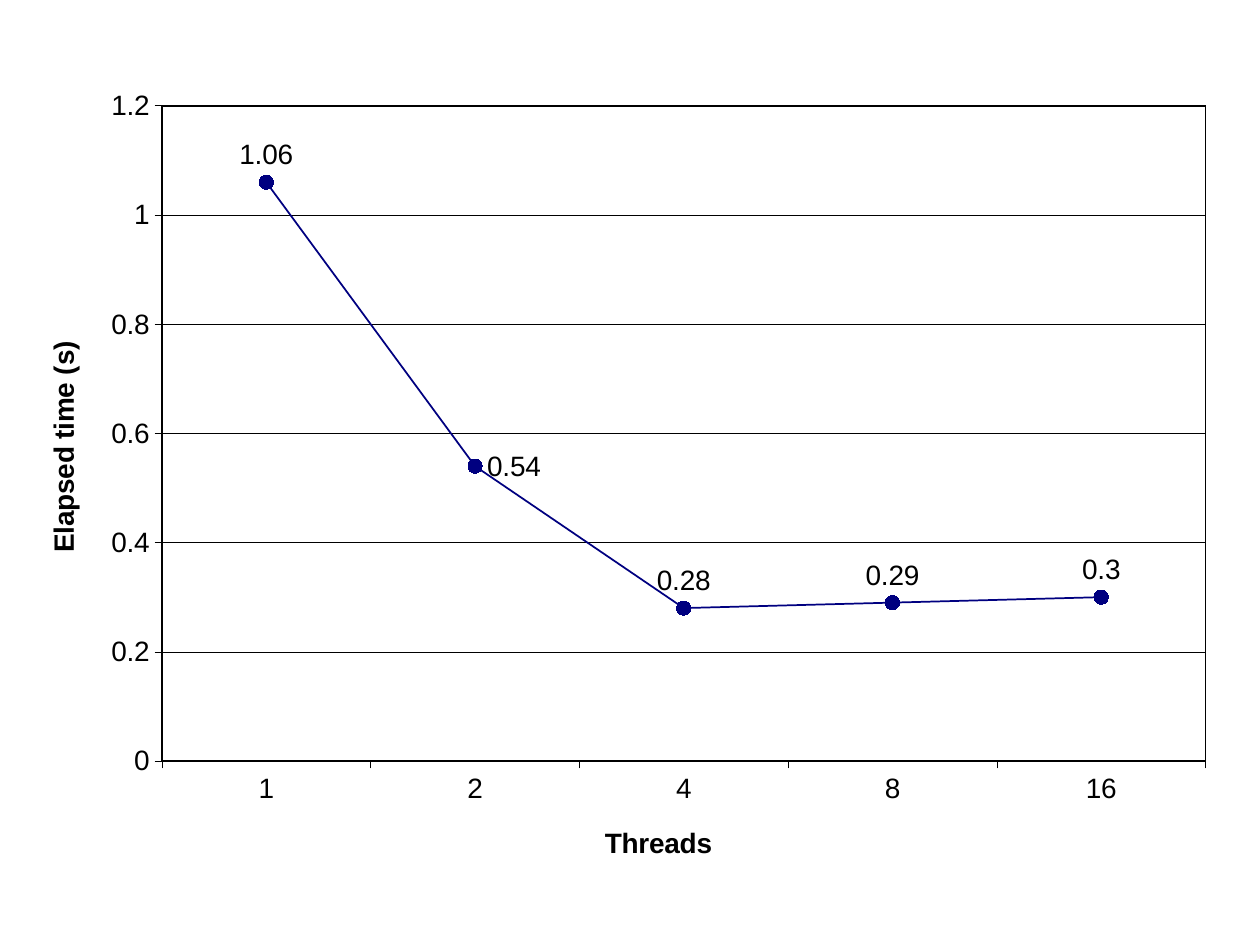
"""Builds a slide with a line chart of elapsed time by thread count."""
import lxml.etree
import pptx
import pptx.chart.data
import pptx.dml.color
import pptx.enum.chart
import pptx.oxml
import pptx.oxml.ns
import pptx.util

Cm, Pt = pptx.util.Cm, pptx.util.Pt
BLACK, NAVY = "000000", "000080"
TIMES = {"1": 1.06, "2": 0.54, "4": 0.28, "8": 0.29, "16": 0.3}


def color(value):
    return pptx.dml.color.RGBColor.from_string(value)


def style_font(font, bold=False):
    font.name, font.size, font.bold = "Arial", Pt(16), bold
    font.color.rgb = color(BLACK)


def style_line(line, value, width):
    line.color.rgb = color(value)
    line.width = Pt(width)


def style_axis(axis, title):
    axis.has_title = True
    tf = axis.axis_title.text_frame
    tf.text = title
    style_font(tf.paragraphs[0].font, bold=True)
    style_font(axis.tick_labels.font)
    style_line(axis.format.line, BLACK, 0.25)
    axis.major_tick_mark = pptx.enum.chart.XL_TICK_MARK.OUTSIDE
    axis.minor_tick_mark = pptx.enum.chart.XL_TICK_MARK.NONE


def style_series(series):
    series.smooth = False
    style_line(series.format.line, NAVY, 1)
    marker = series.marker
    marker.style = pptx.enum.chart.XL_MARKER_STYLE.CIRCLE
    marker.size = 8
    marker.format.fill.solid()
    marker.format.fill.fore_color.rgb = color(NAVY)
    style_line(marker.format.line, NAVY, 0.75)


def style_labels(series):
    position = pptx.enum.chart.XL_LABEL_POSITION
    labels = series.data_labels
    labels.show_value = True
    labels.position = position.ABOVE
    style_font(labels.font)
    label = series.points[1].data_label
    style_font(label.font)
    label.position = position.RIGHT


def frame_plot(chart, x, y, w, h):
    """Place the inner plot area by fractions of the chart and outline it."""
    ns = pptx.oxml.ns
    area = chart._chartSpace.chart.plotArea
    for old in area.findall(ns.qn("c:layout")):
        area.remove(old)
    layout = pptx.oxml.parse_xml(
        f'<c:layout {ns.nsdecls("c")}><c:manualLayout><c:layoutTarget val="inner"/>'
        '<c:xMode val="edge"/><c:yMode val="edge"/>'
        f'<c:x val="{x}"/><c:y val="{y}"/><c:w val="{w}"/><c:h val="{h}"/>'
        '</c:manualLayout></c:layout>')
    area.insert(0, layout)
    area.append(pptx.oxml.parse_xml(
        f'<c:spPr {ns.nsdecls("c", "a")}><a:noFill/><a:ln w="12700"><a:solidFill>'
        f'<a:srgbClr val="{BLACK}"/></a:solidFill></a:ln></c:spPr>'))


def add_time_chart(s):
    data = pptx.chart.data.CategoryChartData()
    data.categories = list(TIMES)
    data.add_series("Series 1", list(TIMES.values()))
    chart = s.shapes.add_chart(
        pptx.enum.chart.XL_CHART_TYPE.LINE_MARKERS,
        Cm(0.79), Cm(1.42), Cm(23.8), Cm(16.21), data).chart
    chart.has_title = False
    chart.has_legend = False
    style_font(chart.font)
    chart.plots[0].vary_by_categories = False

    style_axis(chart.category_axis, "Threads")
    axis = chart.value_axis
    style_axis(axis, "Elapsed time (s)")
    axis.minimum_scale, axis.maximum_scale, axis.major_unit = 0, 1.2, 0.2
    axis.tick_labels.number_format = "General"
    axis.tick_labels.number_format_is_linked = False
    style_line(axis.major_gridlines.format.line, BLACK, 0.25)

    series = chart.plots[0].series[0]
    style_series(series)
    style_labels(series)
    frame_plot(chart, 0.104, 0.044, 0.884, 0.815)


def main():
    prs = pptx.Presentation()
    prs.slide_width, prs.slide_height = Cm(25.4), Cm(19.05)
    s = prs.slides.add_slide(prs.slide_layouts[6])
    add_time_chart(s)
    prs.save("out.pptx")


if __name__ == "__main__":
    main()
